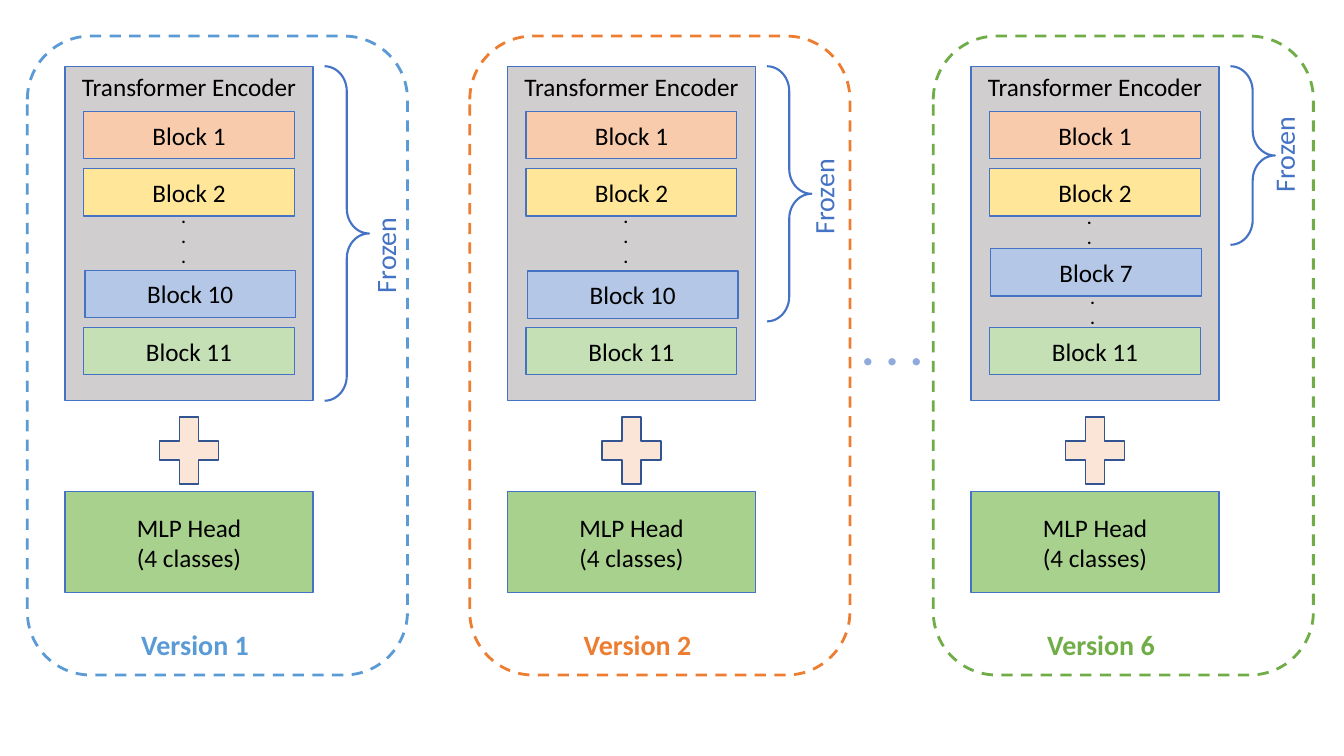
import dataclasses
import pptx
import pptx.dml.color
import pptx.enum.dml
import pptx.enum.shapes
import pptx.enum.text
import pptx.util

Cm = pptx.util.Cm
Pt = pptx.util.Pt
SHAPE = pptx.enum.shapes.MSO_SHAPE
ALIGN = pptx.enum.text.PP_ALIGN
ANCHOR = pptx.enum.text.MSO_ANCHOR


@dataclasses.dataclass(frozen=True)
class Theme:
    font: str = "Calibri"
    body: int = 18
    label: int = 20
    dots: int = 12
    ellipsis: int = 35
    text: str = "000000"
    line: str = "4472C4"
    encoder: str = "D0CECE"
    first: str = "F8CBAD"
    second: str = "FFE699"
    middle: str = "B4C7E7"
    last: str = "C5E0B4"
    head: str = "A9D18E"
    plus: str = "FBE5D6"
    plus_line: str = "325491"
    more: str = "8FAADC"


@dataclasses.dataclass(frozen=True)
class Version:
    number: int
    left: float
    color: str
    middle: str
    middle_top: float
    dots: tuple
    brace_height: float
    frozen_center: tuple


THEME = Theme()
PANEL_TOP, PANEL_WIDTH, PANEL_HEIGHT = 0.91, 9.58, 16.1
VERSIONS = (
    Version(1, 0.69, "5B9BD5", "Block 10", 5.9, ((3.63, 4.17, 3),), 8.43, (9.02, 5.05)),
    Version(2, 11.84, "ED7D31", "Block 10", 5.92, ((3.63, 4.17, 3),), 6.43, (8.92, 3.58)),
    Version(6, 23.52, "70AD47", "Block 7", 5.36,
            ((3.63, 4.19, 2), (3.71, 6.22, 2)), 4.5, (8.84, 2.51)),
)


def rgb(value):
    return pptx.dml.color.RGBColor.from_string(value)


def write(shape, text, size=THEME.body, color=THEME.text, bold=False,
          align=ALIGN.CENTER, anchor=ANCHOR.MIDDLE, wrap=True):
    frame = shape.text_frame
    frame.word_wrap = wrap
    frame.vertical_anchor = anchor
    for index, line in enumerate(text.split("\n")):
        para = frame.add_paragraph() if index else frame.paragraphs[0]
        para.alignment = align
        span = para.add_run()
        span.text = line
        span.font.name = THEME.font
        span.font.size = Pt(size)
        span.font.bold = bold
        span.font.color.rgb = rgb(color)


def draw(shapes, kind, box, fill=None, line=THEME.line, weight=1):
    shape = shapes.add_shape(kind, *map(Cm, box))
    shape.shadow.inherit = False
    if fill:
        shape.fill.solid()
        shape.fill.fore_color.rgb = rgb(fill)
    else:
        shape.fill.background()
    shape.line.color.rgb = rgb(line)
    shape.line.width = Pt(weight)
    return shape


def label(shapes, box, text, **style):
    shape = shapes.add_textbox(*map(Cm, box))
    write(shape, text, align=ALIGN.LEFT, anchor=ANCHOR.TOP, **style)
    return shape


def draw_encoder(shapes, box, version):
    left, top, width, height = box
    encoder = draw(shapes, SHAPE.RECTANGLE, box, THEME.encoder)
    write(encoder, "Transformer Encoder", anchor=ANCHOR.TOP)
    for dots_left, dots_top, count in version.dots:
        dots_box = (left - 0.95 + dots_left, top - 0.76 + dots_top, 0.69, 0.26 + 0.5 * count)
        label(shapes, dots_box, "\n".join("." * count), size=THEME.dots, bold=True)
    blocks = (
        ("Block 1", 0.47, 1.14, THEME.first),
        ("Block 2", 0.47, 2.58, THEME.second),
        (version.middle, 0.5, version.middle_top - 0.76, THEME.middle),
        ("Block 11", 0.47, 6.58, THEME.last),
    )
    for name, inset, offset, fill in blocks:
        block = draw(shapes, SHAPE.RECTANGLE, (left + inset, top + offset, 5.31, 1.19), fill)
        write(block, name)


def draw_frozen(shapes, box, center):
    brace = draw(shapes, SHAPE.RIGHT_BRACE, box, weight=1.5)
    brace.adjustments[0] = 0.561
    width, height = 3.35, 1.12
    text_box = (center[0] - width / 2, center[1] - height / 2, width, height)
    frozen = label(shapes, text_box, "Frozen", size=THEME.label, color=THEME.line)
    frozen.rotation = 270


def draw_version(page, box, version):
    left, top, width, height = box
    shapes = page.shapes.add_group_shape().shapes
    panel = draw(shapes, SHAPE.ROUNDED_RECTANGLE, box, line=version.color, weight=2)
    panel.line.dash_style = pptx.enum.dml.MSO_LINE.DASH
    draw_encoder(shapes, (left + 0.95, top + 0.76, 6.25, 8.43), version)
    draw(shapes, SHAPE.MATH_PLUS, (left + 3.06, top + 9.3, 2.03, 2.29),
         THEME.plus, THEME.plus_line)
    head = draw(shapes, SHAPE.RECTANGLE, (left + 0.95, top + 11.48, 6.25, 2.54), THEME.head)
    write(head, "MLP Head\n(4 classes)")
    label(shapes, (left + 2.62, top + 14.79, 3.4, 1.12), f"Version {version.number}",
          size=THEME.label, color=version.color, bold=True)
    center = (left + version.frozen_center[0], top + version.frozen_center[1])
    draw_frozen(shapes, (left + 7.49, top + 0.76, 1.12, version.brace_height), center)


def build():
    deck = pptx.Presentation()
    deck.slide_width = Cm(33.87)
    deck.slide_height = Cm(19.05)
    page = deck.slides.add_slide(deck.slide_layouts[6])
    for version in VERSIONS:
        draw_version(page, (version.left, PANEL_TOP, PANEL_WIDTH, PANEL_HEIGHT), version)
    label(page.shapes, (21.46, 7.85, 2.08, 1.75), ". . .",
          size=THEME.ellipsis, color=THEME.more, bold=True, wrap=False)
    deck.save("out.pptx")


build()
